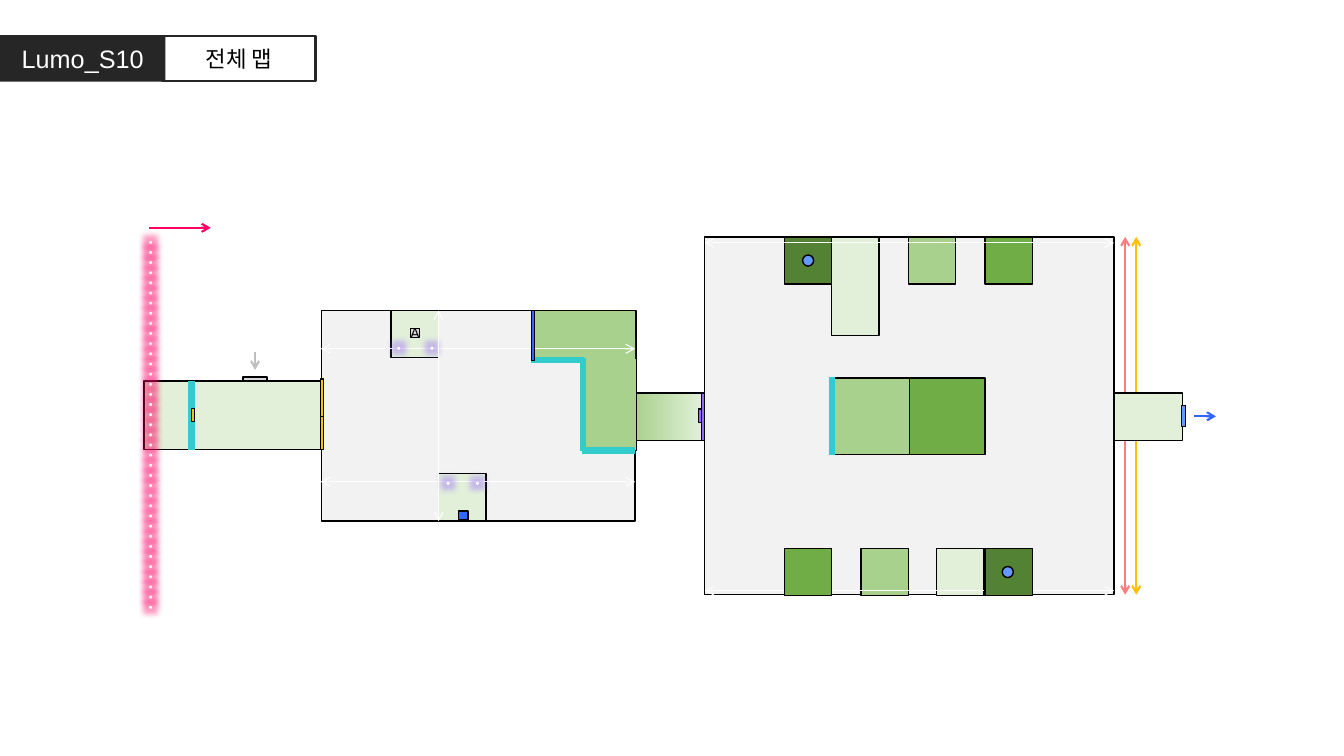
from dataclasses import dataclass

from lxml import etree
from pptx import Presentation
from pptx import util as u
from pptx.dml.color import RGBColor
from pptx.enum import shapes, text
from pptx.oxml.ns import qn


@dataclass(frozen=True)
class Theme:
    """Colours, type sizes and line widths of the map."""
    font: str = "Arial"
    title: int = 18
    subtitle: int = 16
    label: int = 10
    dark: str = "262626"
    black: str = "000000"
    white: str = "FFFFFF"
    floor: str = "F2F2F2"
    grey: str = "D9D9D9"
    arrow_grey: str = "BFBFBF"
    g1: str = "E2F0D9"
    g2: str = "A9D18E"
    g3: str = "70AD47"
    g4: str = "548235"
    teal: str = "33CCCC"
    amber: str = "FFC000"
    coral: str = "FF7C80"
    pink: str = "FF0066"
    purple: str = "9966FF"
    blue: str = "3366FF"
    sky: str = "6699FF"
    thin: float = 0.75
    outline: float = 1
    medium: float = 1.5
    thick: float = 4.5


T = Theme()
RECT = shapes.MSO_SHAPE.RECTANGLE
OVAL = shapes.MSO_SHAPE.OVAL
TILE = 0.47


def rgb(value):
    """Turn a hex string into a colour."""
    return RGBColor.from_string(value)


def apply(obj, fmt):
    """Set attributes of an object from a dict."""
    for name, value in fmt.items():
        setattr(obj, name, value)


def add_box(s, at, fill=None, line=T.black, width=T.outline, kind=RECT):
    """Add a flat shape; a pair of colours gives a left-to-right gradient."""
    sp = s.shapes.add_shape(kind, *map(u.Inches, at))
    sp.shadow.inherit = False
    if isinstance(fill, tuple):
        sp.fill.gradient()
        sp.fill.gradient_angle = 0
        for stop, colour, pos in zip(sp.fill.gradient_stops, fill, (0, 1)):
            apply(stop, {"position": pos})
            stop.color.rgb = rgb(colour)
    elif fill:
        sp.fill.solid()
        sp.fill.fore_color.rgb = rgb(fill)
    else:
        sp.fill.background()
    if line:
        sp.line.color.rgb = rgb(line)
        sp.line.width = u.Pt(width)
    else:
        sp.line.fill.background()
    return sp


def add_label(sp, words, size, colour, **frame):
    """Write centred text into a shape."""
    tf = sp.text_frame
    apply(tf, {"vertical_anchor": text.MSO_ANCHOR.MIDDLE, "word_wrap": True, **frame})
    p = tf.paragraphs[0]
    p.alignment = text.PP_ALIGN.CENTER
    r = p.add_run()
    r.text = words
    apply(r.font, {"name": T.font, "size": u.Pt(size)})
    r.font.color.rgb = rgb(colour)


def add_line(s, start, end, colour, width, ends=()):
    """Add a straight line with open arrowheads at the named ends."""
    ln = s.shapes.add_connector(shapes.MSO_CONNECTOR.STRAIGHT,
                                *map(u.Inches, (*start, *end)))
    ln.line.color.rgb = rgb(colour)
    ln.line.width = u.Pt(width)
    for end_name in ends:
        etree.SubElement(ln.line._ln, qn(f"a:{end_name}"), type="arrow")
    etree.SubElement(ln._element.spPr, qn("a:effectLst"))


def add_arrow(s, start, end, colour, width=T.medium):
    """Add an arrow pointing one way."""
    add_line(s, start, end, colour, width, ("tailEnd",))


def add_span(s, start, end, colour=T.white, width=T.thin):
    """Add a measuring arrow pointing both ways."""
    add_line(s, start, end, colour, width, ("headEnd", "tailEnd"))


def add_light(s, x, y, colour):
    """Add a small white dot with a coloured glow."""
    sp = add_box(s, (x, y, 0.03, 0.03), T.white, None, kind=OVAL)
    effects = sp._element.spPr.find(qn("a:effectLst"))
    glow = etree.SubElement(effects, qn("a:glow"), rad=str(u.Pt(8)))
    clr = etree.SubElement(glow, qn("a:srgbClr"), val=colour)
    etree.SubElement(clr, qn("a:alpha"), val="40000")


def add_header(s):
    """Add the stage name and the map title."""
    sp = add_box(s, (0, 0.35, 1.64, 0.46), T.dark, None)
    add_label(sp, "Lumo_S10", T.title, T.white)
    sp = add_box(s, (1.61, 0.36, 1.52, 0.44), None, T.dark, T.medium)
    add_label(sp, "전체 맵", T.subtitle, T.black)


def add_arena(s):
    """Add the large right room with its platforms, corridors and exit."""
    left, top, right, bottom = 6.99, 2.35, 11.05, 5.9
    add_box(s, (6.3, 3.9, 0.67, TILE), (T.g2, T.g1))
    add_box(s, (left, top, right - left, bottom - top), T.floor)
    add_box(s, (6.93, 4.06, 0.03, 0.13), T.purple)
    add_box(s, (6.96, 3.9, 0.03, TILE), T.purple)
    for x, y, h, colour in ((7.78, top, TILE, T.g4), (8.25, top, 0.98, T.g1),
                            (9.01, top, TILE, T.g2), (9.77, top, TILE, T.g3),
                            (8.54, 5.44, TILE, T.g2), (9.29, 5.44, TILE, T.g1)):
        add_box(s, (x, y, TILE, h), colour)
    add_box(s, (8.25, 3.75, 0.77, 0.76), T.g2)
    add_box(s, (9.02, 3.75, 0.75, 0.76), T.g3)
    for y in (2.41, 5.86):
        add_span(s, (left, y), (right, y))
    for x, colour in ((7.78, T.g3), (9.77, T.g4)):
        add_box(s, (x, 5.44, TILE, TILE), colour)
    for x, colour in ((11.27, T.amber), (11.16, T.coral)):
        add_span(s, (x, bottom), (x, top), colour, T.medium)
    add_box(s, (right, 3.9, 0.68, TILE), T.g1)
    add_arrow(s, (11.84, 4.13), (12.06, 4.13), T.blue)
    add_box(s, (11.72, 4.02, 0.04, 0.21), T.sky)
    for x, y in ((7.96, 2.53), (9.94, 5.62)):
        add_box(s, (x, y, 0.11, 0.11), T.sky, kind=OVAL)
    add_line(s, (8.25, 3.74), (8.25, 4.51), T.teal, T.thick)


def add_entry(s):
    """Add the start corridor with its doors and direction arrows."""
    add_box(s, (1.43, 3.78, 1.75, 0.68), T.g1)
    add_box(s, (2.41, 3.74, 0.24, 0.04), T.grey)
    add_line(s, (1.9, 3.78), (1.9, 4.46), T.teal, T.thick)
    add_box(s, (1.9, 4.05, 0.03, 0.13), T.amber)
    add_arrow(s, (1.48, 2.26), (2.09, 2.26), T.pink)
    add_arrow(s, (2.53, 3.49), (2.53, 3.67), T.arrow_grey)
    for y in (4.09, 3.76):
        add_box(s, (3.18, y, 0.03, 0.37), T.amber)


def add_hall(s):
    """Add the platforms, ledge and switches of the middle room."""
    for x, y in ((3.88, 3.08), (4.35, 4.7)):
        add_box(s, (x, y, TILE, TILE), T.g1)
    add_box(s, (5.27, 3.08, 1.04, TILE), T.g2)
    add_box(s, (5.79, 3.55, 0.52, 0.92), T.g2)
    add_box(s, (5.79, 3.35, 0.51, 0.92), T.g2, None)
    for y in (3.46, 4.78):
        add_span(s, (3.18, y), (6.3, y))
    for x, y in ((3.94, 3.44), (4.27, 3.44), (4.43, 4.78), (4.72, 4.78)):
        add_light(s, x, y, T.purple)
    add_span(s, (4.35, 3.08), (4.35, 5.17))
    for start, end in (((5.27, 3.57), (5.79, 3.57)), ((5.78, 3.55), (5.78, 4.47)),
                       ((5.77, 4.47), (6.3, 4.47))):
        add_line(s, start, end, T.teal, T.thick)
    add_box(s, (4.55, 5.07, 0.09, 0.09), T.blue)
    add_box(s, (5.27, 3.08, 0.03, 0.5), T.blue)
    sp = add_box(s, (4.07, 3.26, 0.09, 0.09), T.grey)
    margins = dict.fromkeys(("margin_left", "margin_top", "margin_right",
                             "margin_bottom"), 0)
    add_label(sp, "A", T.label, T.black, **{**margins, "word_wrap": False})


def add_laser(s):
    """Add the glowing wall of evenly spaced lights."""
    count, top, bottom = 37, 2.39, 6.01
    for i in range(count):
        add_light(s, 1.48, top + i * (bottom - top) / (count - 1), T.pink)


def main():
    """Build the map slide and save it."""
    prs = Presentation()
    apply(prs, {"slide_width": u.Inches(13.33), "slide_height": u.Inches(7.5)})
    s = prs.slides.add_slide(prs.slide_layouts[6])
    add_header(s)
    add_arena(s)
    add_box(s, (3.19, 3.08, 3.11, 2.09), T.floor)
    add_entry(s)
    add_hall(s)
    add_laser(s)
    prs.save("out.pptx")


main()
